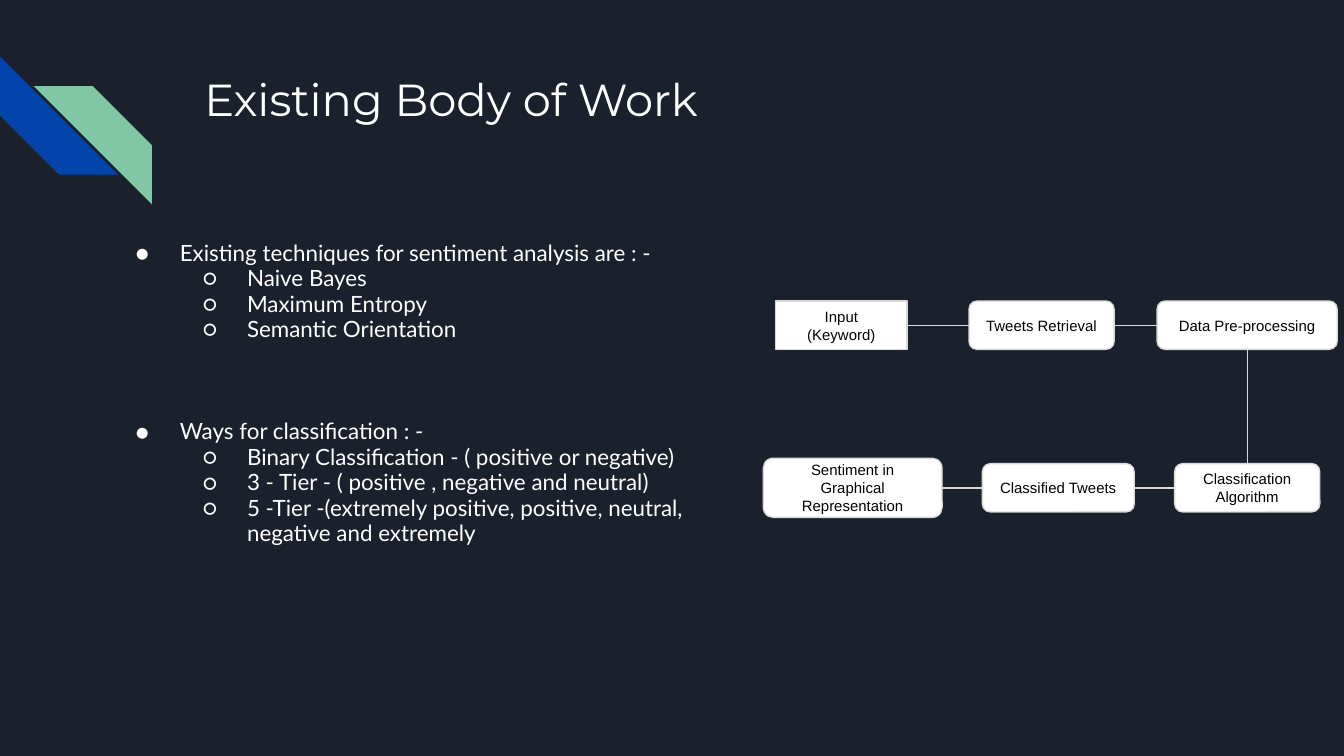
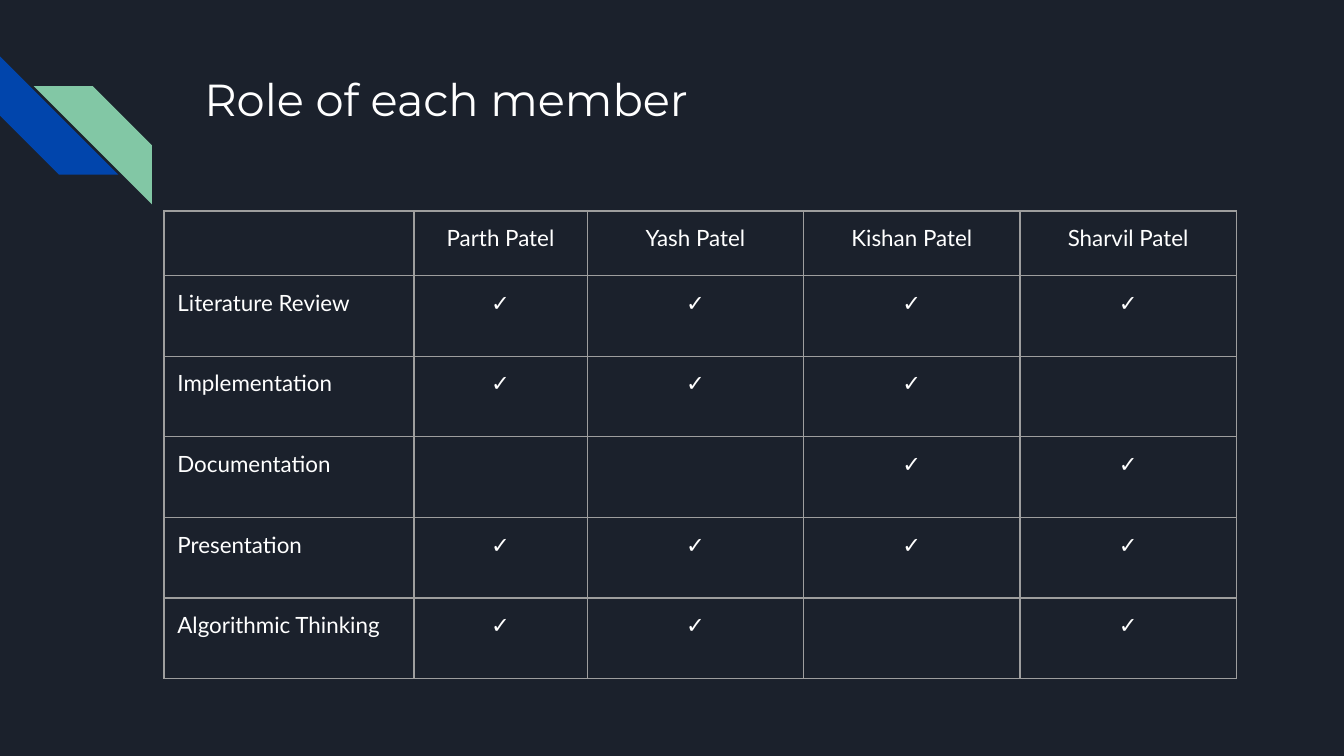
import pptx
import pptx.util
import pptx.dml.color
import pptx.enum.shapes
import pptx.enum.text
import pptx.oxml
import pptx.oxml.ns

Inch = pptx.util.Inches
Pt = pptx.util.Pt
RGB = pptx.dml.color.RGBColor
Kind = pptx.enum.shapes.MSO_SHAPE
Align = pptx.enum.text.PP_ALIGN
Anchor = pptx.enum.text.MSO_ANCHOR
NS = pptx.oxml.ns.nsdecls("a")

# Content
TITLES = ["Existing Body of Work", "Role of each member"]
POINTS = [
    ("Existing techniques for sentiment analysis are : -",
     ["Naive Bayes", "Maximum Entropy", "Semantic Orientation"]),
    ("Ways for classification : -",
     ["Binary Classification - ( positive or negative)",
      "3 - Tier - ( positive , negative and neutral)",
      "5 -Tier -(extremely positive, positive, neutral, "
      "negative and extremely"]),
]
# Flow in reading order: text, left, width, height, row
FLOW = [
    ("Input (Keyword)", 5.77, 0.98, 0.36, 0),
    ("Tweets Retrieval", 7.21, 1.08, 0.36, 0),
    ("Data Pre-processing", 8.61, 1.34, 0.36, 0),
    ("Classification Algorithm", 8.74, 1.08, 0.36, 1),
    ("Classified Tweets", 7.31, 1.13, 0.36, 1),
    ("Sentiment in Graphical Representation", 5.68, 1.33, 0.44, 1),
]
MEMBERS = ["Parth Patel", "Yash Patel", "Kishan Patel", "Sharvil Patel"]
ROLES = [
    ("Literature Review", [1, 1, 1, 1]),
    ("Implementation", [1, 1, 1, 0]),
    ("Documentation", [0, 0, 1, 1]),
    ("Presentation", [1, 1, 1, 1]),
    ("Algorithmic Thinking", [1, 1, 0, 1]),
]

# Look
DARK = RGB(0x1B, 0x21, 0x2C)
BLUE = RGB(0x01, 0x45, 0xAC)
GREEN = RGB(0x82, 0xC7, 0xA5)
WHITE = RGB(0xFF, 0xFF, 0xFF)
BLACK = RGB(0, 0, 0)
PALE = RGB(0xD9, 0xD9, 0xD9)
GRAY = RGB(0x9E, 0x9E, 0x9E)
WIDE = Inch(10)
TALL = WIDE * 9 // 16
PAD = 0.1
STRIPE = 0.88
ROW_MID = [2.42, 3.63]
COLS = [1.86, 1.29, 1.61, 1.61, 1.61]
ROWS = [0.48] + [0.6] * len(ROLES)


def write(para, text, font="Lato", size=12, color=WHITE, align=Align.LEFT):
    """Put formatted text into a paragraph."""
    para.alignment = align
    run = para.add_run()
    run.text = text
    run.font.name = font
    run.font.size = Pt(size)
    run.font.color.rgb = color


def pad(box):
    """Give a frame or cell equal margins."""
    box.margin_left = box.margin_right = Inch(PAD)
    box.margin_top = box.margin_bottom = Inch(PAD)


def draw(slide, kind, left, top, width, height, fill):
    shape = slide.shapes.add_shape(
        kind, Inch(left), Inch(top), Inch(width), Inch(height))
    shape.shadow.inherit = False
    shape.fill.solid()
    shape.fill.fore_color.rgb = fill
    shape.line.fill.background()
    return shape


def start(deck, text):
    """Add a slide with its title and corner stripes."""
    slide = deck.slides.add_slide(deck.slide_layouts[5])
    low = draw(slide, Kind.DIAGONAL_STRIPE, 0, 0.42, STRIPE, STRIPE, BLUE)
    low.rotation = 270
    high = draw(slide, Kind.DIAGONAL_STRIPE, 0.25, 0.64, STRIPE, STRIPE, GREEN)
    high.element.spPr.xfrm.set("flipH", "1")
    title = slide.shapes.title
    title.left, title.top = Inch(1.42), Inch(0.43)
    title.width, title.height = Inch(7.7), Inch(1)
    frame = title.text_frame
    pad(frame)
    frame.vertical_anchor = Anchor.TOP
    write(frame.paragraphs[0], text, font="Montserrat", size=24)
    return slide


def bullet(para, text, level):
    para.level = level
    para.line_spacing = 0.95
    write(para, text)
    props = para._p.get_or_add_pPr()
    props.set("marL", str(Inch(0.5 * (level + 1))))
    props.set("indent", str(Inch(-0.33)))
    for xml in (f'<a:buClr {NS}><a:srgbClr val="{WHITE}"/></a:buClr>',
                f'<a:buFont {NS} typeface="Lato"/>',
                f'<a:buChar {NS} char="{"●○"[level]}"/>'):
        props.append(pptx.oxml.parse_xml(xml))


def points(slide):
    box = slide.shapes.add_textbox(
        Inch(0.74), Inch(1.69), Inch(4.73), Inch(3.32))
    frame = box.text_frame
    frame.word_wrap = True
    pad(frame)
    for num, (head, subs) in enumerate(POINTS):
        para = frame.add_paragraph() if num else frame.paragraphs[0]
        para.space_before = Pt(41 if num else 0)
        bullet(para, head, 0)
        for sub in subs:
            bullet(frame.add_paragraph(), sub, 1)


def flow(slide):
    boxes = []
    for num, (text, left, width, height, row) in enumerate(FLOW):
        kind = Kind.ROUNDED_RECTANGLE if num else Kind.RECTANGLE
        top = ROW_MID[row] - height / 2
        box = draw(slide, kind, left, top, width, height, WHITE)
        box.line.color.rgb = PALE
        box.line.width = Pt(0.75)
        frame = box.text_frame
        frame.word_wrap = True
        frame.vertical_anchor = Anchor.MIDDLE
        pad(frame)
        write(frame.paragraphs[0], text, font="Arial", size=8,
              color=BLACK, align=Align.CENTER)
        boxes.append(box)
    # Rightward on the first row, down, then leftward on the second
    sides = [(3, 1), (3, 1), (2, 0), (1, 3), (1, 3)]
    for one, two, (out, into) in zip(boxes, boxes[1:], sides):
        line = slide.shapes.add_connector(
            pptx.enum.shapes.MSO_CONNECTOR.STRAIGHT, 0, 0, 0, 0)
        line.begin_connect(one, out)
        line.end_connect(two, into)
        line.line.color.rgb = PALE
        line.line.width = Pt(0.75)
        line.element.spPr.append(
            pptx.oxml.parse_xml(f"<a:effectLst {NS}/>"))


def border(cell):
    props = cell._tc.get_or_add_tcPr()
    for side in "LRTB":
        props.append(pptx.oxml.parse_xml(
            f'<a:ln{side} {NS} w="{Pt(0.75)}"><a:solidFill>'
            f'<a:srgbClr val="{GRAY}"/></a:solidFill></a:ln{side}>'))


def roles(slide):
    grid = [[""] + MEMBERS]
    grid += [[name] + ["✓" if mark else "" for mark in marks]
             for name, marks in ROLES]
    table = slide.shapes.add_table(
        len(ROWS), len(COLS), Inch(1.22), Inch(1.57),
        Inch(sum(COLS)), Inch(sum(ROWS))).table
    table.first_row = table.horz_banding = False
    for col, width in zip(table.columns, COLS):
        col.width = Inch(width)
    for row, height, texts in zip(table.rows, ROWS, grid):
        row.height = Inch(height)
        for num, (cell, text) in enumerate(zip(row.cells, texts)):
            border(cell)
            cell.fill.background()
            if text:
                pad(cell)
                write(cell.text_frame.paragraphs[0], text,
                      align=Align.CENTER if num else Align.LEFT)


def main():
    deck = pptx.Presentation()
    deck.slide_width, deck.slide_height = WIDE, TALL
    back = deck.slide_master.background.fill
    back.solid()
    back.fore_color.rgb = DARK
    work, team = [start(deck, text) for text in TITLES]
    points(work)
    flow(work)
    roles(team)
    deck.save("out.pptx")


if __name__ == "__main__":
    main()
